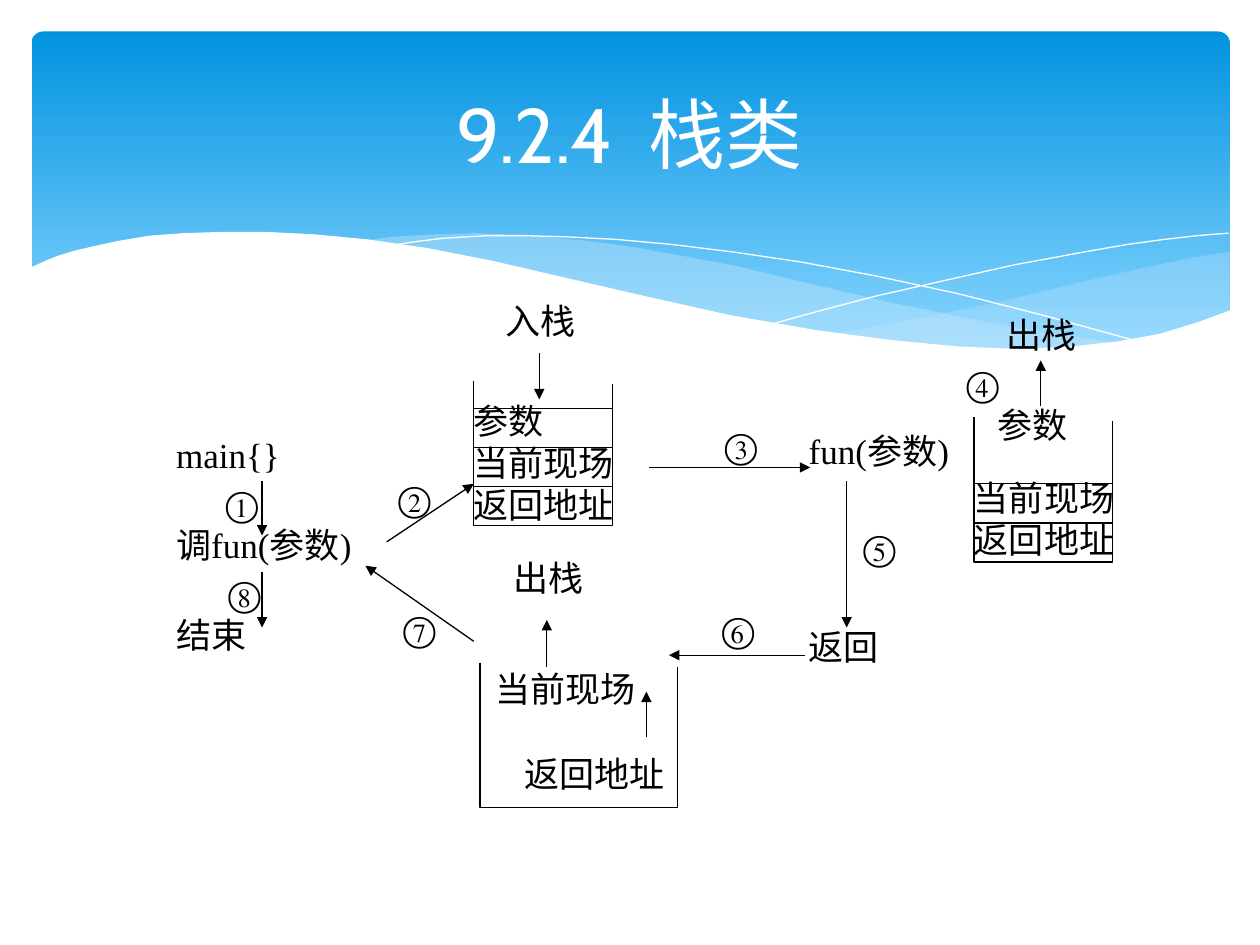
"""Build a slide on the stack class that traces a function call."""
from lxml import etree
from pptx import Presentation
from pptx.dml.color import RGBColor
from pptx.enum.shapes import MSO_CONNECTOR, MSO_SHAPE
from pptx.enum.text import MSO_ANCHOR, PP_ALIGN
from pptx.oxml.ns import qn
from pptx.util import Inches, Pt

STRAIGHT = MSO_CONNECTOR.STRAIGHT
ROUNDED = MSO_SHAPE.ROUNDED_RECTANGLE
MIDDLE = MSO_ANCHOR.MIDDLE
CENTER, JUSTIFY = PP_ALIGN.CENTER, PP_ALIGN.JUSTIFY
BLACK, WHITE, PALE = "000000", "FFFFFF", "C6E7FC"
color = RGBColor.from_string

deck = Presentation()
deck.slide_width, deck.slide_height = Inches(10), Inches(7.5)
page = deck.slides.add_slide(deck.slide_layouts[6])


def add_text(area, lines, align=JUSTIFY, inset=True, font=("Times New Roman", 20, BLACK)):
    box = page.shapes.add_textbox(*map(Inches, area))
    frame = box.text_frame
    frame.word_wrap = True
    if not inset:
        frame.margin_left = frame.margin_right = frame.margin_top = frame.margin_bottom = 0
    frame.text = "\n".join(lines)
    for para in frame.paragraphs:
        para.alignment = align
        para.font.name, para.font.size = font[0], Pt(font[1])
        para.font.color.rgb = color(font[2])
    return frame


def add_outline(points, fill=None, opacity=100, line=None, width=0.75):
    points = [(Inches(x), Inches(y)) for x, y in points]
    builder = page.shapes.build_freeform(*points[0])
    builder.add_line_segments(points[1:], close=fill is not None)
    outline = builder.convert_to_shape()
    outline.shadow.inherit = False
    if fill:
        outline.fill.solid()
        outline.fill.fore_color.rgb = color(fill)
        tint = outline.fill._xPr.find(qn("a:solidFill"))[0]
        etree.SubElement(tint, qn("a:alpha")).set("val", str(opacity * 1000))
    else:
        outline.fill.background()
    if line:
        outline.line.color.rgb = color(line)
        outline.line.width = Pt(width)
    else:
        outline.line.fill.background()


banner = page.shapes.add_shape(ROUNDED, Inches(0.25), Inches(0.25), Inches(9.51), Inches(2.7))
banner.adjustments[0] = 0.034
banner.shadow.inherit = False
banner.line.fill.background()
banner.fill.gradient()
banner.fill.gradient_angle = 270
for stop, position, shade in zip(banner.fill.gradient_stops, (0, 0.9), ("0293E0", "83D3FE")):
    stop.position = position
    stop.color.rgb = color(shade)

right_wave = [
    (9.76, 2), (9.48, 2.04), (9.06, 2.13), (8.61, 2.23), (8.05, 2.37), (7.53, 2.48),
    (7.06, 2.57), (6.61, 2.65), (6.91, 2.69), (7.32, 2.74), (7.69, 2.77), (8.14, 2.78),
    (8.54, 2.76), (8.89, 2.72), (9.21, 2.65), (9.49, 2.57), (9.76, 2.47)]
middle_wave = [
    (8.93, 2.73), (8.37, 2.65), (7.75, 2.54), (7.06, 2.4), (6.29, 2.22), (5.84, 2.11),
    (5.41, 2.03), (5.02, 1.96), (4.65, 1.91), (4.2, 1.87), (3.8, 1.85), (3.44, 1.86),
    (3.13, 1.88), (2.86, 1.91), (3.23, 1.96), (3.62, 2.03), (4.04, 2.11), (4.49, 2.22),
    (5.3, 2.4), (5.84, 2.52), (6.34, 2.61), (6.8, 2.68), (7.22, 2.74), (7.61, 2.77),
    (7.96, 2.78), (8.38, 2.78), (8.67, 2.76), (8.93, 2.73)]
falling_curve = [
    (3.09, 1.95), (3.28, 1.92), (3.53, 1.89), (3.87, 1.87), (4.16, 1.87), (4.5, 1.88),
    (4.89, 1.9), (5.33, 1.94), (5.82, 2), (6.36, 2.08), (6.95, 2.19), (7.6, 2.33),
    (8.31, 2.51), (9.07, 2.72)]
rising_curve = [
    (6.13, 2.57), (6.53, 2.46), (6.95, 2.35), (7.48, 2.23), (8.06, 2.1), (8.66, 1.99),
    (8.95, 1.94), (9.24, 1.9), (9.51, 1.87), (9.75, 1.85)]
white_wave = [
    (9.77, 2.46), (9.5, 2.56), (9.2, 2.65), (8.87, 2.71), (8.5, 2.75), (8.09, 2.77),
    (7.61, 2.75), (7.08, 2.7), (6.48, 2.62), (5.79, 2.5), (5.03, 2.33), (4.47, 2.2),
    (3.91, 2.07), (3.4, 1.97), (2.92, 1.9), (2.5, 1.86), (2.11, 1.84), (1.77, 1.84),
    (1.46, 1.85), (1.19, 1.87), (0.95, 1.91), (0.76, 1.95), (0.59, 1.99), (0.46, 2.03),
    (0.36, 2.07), (0.23, 2.13), (0.23, 3.29), (9.77, 3.29)]
add_outline(right_wave, PALE, 29)
add_outline(middle_wave, PALE, 40)
for curve in (falling_curve, rising_curve):
    add_outline(curve, line=WHITE, width=0)
add_outline(white_wave, WHITE)

title = add_text((0.5, 0.37, 9, 1.37), ["9.2.4  栈类"], CENTER, font=("Cabin", 44, WHITE))
title.vertical_anchor = MIDDLE

caller = add_text((1.3, 3.36, 1.84, 2.06), ["main{}", "调fun(参数)", "结束"])
for para in caller.paragraphs:
    para.line_spacing = 1.1
for para in caller.paragraphs[1:]:
    para.space_before = Pt(25)
callee = add_text((6.32, 3.36, 1.55, 2.06), ["fun(参数)", "返回"])
callee.paragraphs[1].line_spacing = 1.8
callee.paragraphs[1].space_before = Pt(69)

steps = [
    ("①", 1.79, 3.83), ("②", 3.16, 3.79), ("③", 5.75, 3.37), ("④", 7.67, 2.88),
    ("⑤", 6.85, 4.18), ("⑥", 5.73, 4.83), ("⑦", 3.2, 4.82), ("⑧", 1.81, 4.54)]
for number, left, top in steps:
    add_text((left, top, 0.29, 0.35), [number], inset=False)

for action, left, top in [("入栈", 3.88, 2.38), ("出栈", 7.86, 2.49), ("出栈", 3.94, 4.42)]:
    add_text((left, top, 0.82, 0.35), [action], CENTER, inset=False)

stack_labels = [
    ((3.76, 3.17, 1.15, 0.99), ["参数", "当前现场", "返回地址"]),
    ((7.92, 3.2, 0.75, 0.35), ["参数"]),
    ((7.73, 3.78, 1.15, 0.71), ["当前现场", "返回地址"]),
    ((3.93, 5.3, 1.41, 0.35), ["当前现场"]),
    ((4.16, 5.97, 1.2, 0.35), ["返回地址"])]
for area, lines in stack_labels:
    add_text(area, lines, inset=False)

arrows = [
    (2.08, 3.82, 2.08, 4.25), (2.08, 4.54, 2.08, 4.98), (3.07, 4.3, 3.76, 3.84),
    (3.76, 5.09, 2.9, 4.49), (6.72, 3.82, 6.72, 4.98), (5.15, 3.71, 6.43, 3.71),
    (6.39, 5.2, 5.31, 5.2), (4.28, 2.8, 4.28, 3.17), (8.26, 3.22, 8.26, 2.86),
    (4.34, 5.29, 4.34, 4.92), (5.13, 5.85, 5.13, 5.49)]
dividers = []
for left, top, width, count in [(3.76, 3.02, 1.1, 3), (7.73, 3.31, 1.1, 2), (3.81, 5.26, 1.57, 0)]:
    right, bottom = left + width, top + 1.15
    add_outline([(left, top), (left, bottom), (right, bottom), (right, top + 0.03)], line=BLACK)
    for row in range(1, count + 1):
        level = bottom - 0.31 * row
        dividers.append((left, level, right, level))

for ends in arrows + dividers:
    connector = page.shapes.add_connector(STRAIGHT, *map(Inches, ends))
    connector.line.color.rgb = color(BLACK)
    connector.line.width = Pt(0.75)
    if ends in arrows:
        etree.SubElement(connector.line._get_or_add_ln(), qn("a:tailEnd")).set("type", "triangle")
    etree.SubElement(connector._element.spPr, qn("a:effectLst"))

deck.save("out.pptx")
